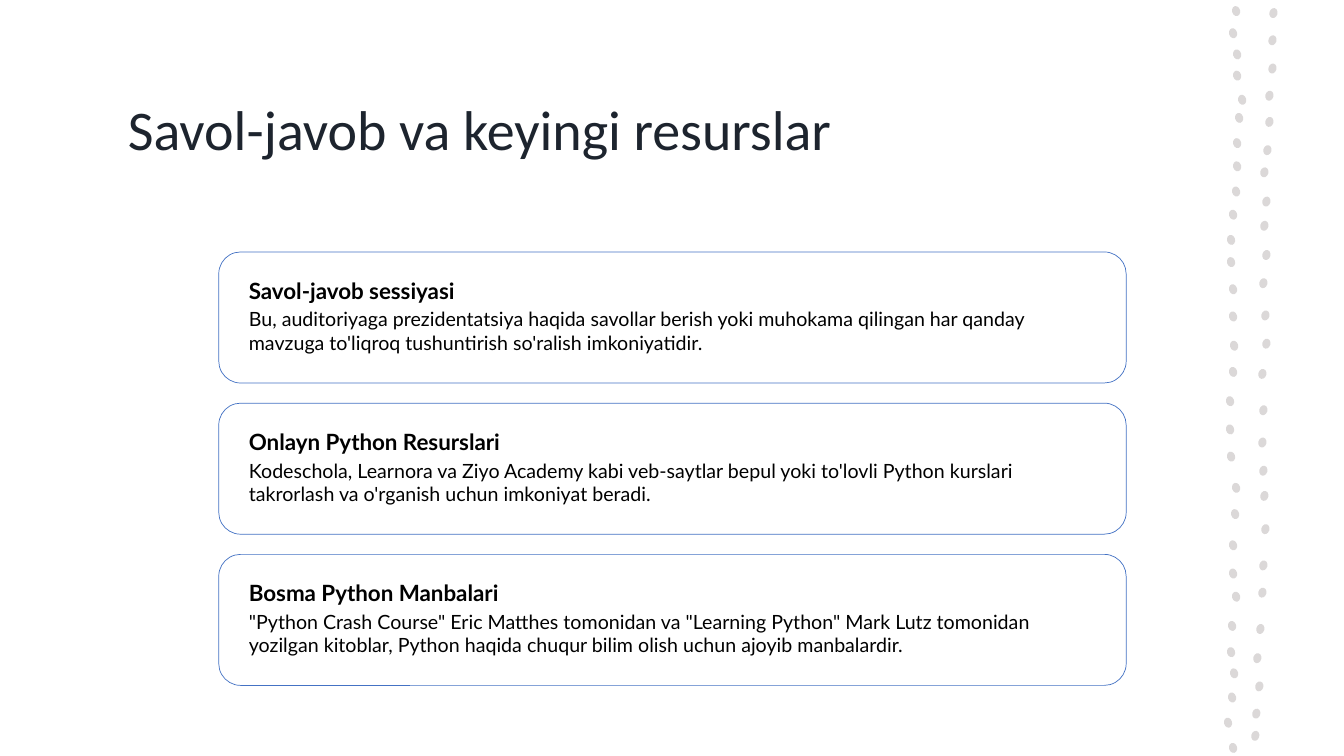
from pptx import Presentation
from pptx.dml.color import RGBColor
from pptx.enum import shapes, text
from pptx.util import Inches, Pt

TITLE = "Savol-javob va keyingi resurslar"
CARDS = [
    ("Savol-javob sessiyasi",
     "Bu, auditoriyaga prezidentatsiya haqida savollar berish yoki muhokama qilingan "
     "har qanday mavzuga to'liqroq tushuntirish so'ralish imkoniyatidir."),
    ("Onlayn Python Resurslari",
     "Kodeschola, Learnora va Ziyo Academy kabi veb-saytlar bepul yoki to'lovli Python "
     "kurslari takrorlash va o'rganish uchun imkoniyat beradi."),
    ("Bosma Python Manbalari",
     "\"Python Crash Course\" Eric Matthes tomonidan va \"Learning Python\" Mark Lutz "
     "tomonidan yozilgan kitoblar, Python haqida chuqur bilim olish uchun ajoyib "
     "manbalardir."),
]

# Centres of the dots in the two hand-drawn columns
LEFT_DOTS = [
    (12.26, 0.11), (12.23, 0.33), (12.27, 0.54), (12.27, 0.75), (12.32, 0.99),
    (12.29, 1.17), (12.27, 1.42), (12.27, 1.65), (12.26, 1.9), (12.23, 2.13),
    (12.21, 2.38), (12.21, 2.6), (12.23, 2.87), (12.23, 3.14), (12.24, 3.43),
    (12.23, 3.69), (12.2, 3.98), (12.2, 4.26), (12.21, 4.53), (12.26, 4.84),
    (12.25, 5.1), (12.23, 5.41), (12.23, 5.69), (12.26, 5.92), (12.22, 6.21),
    (12.21, 6.47), (12.24, 6.68), (12.22, 6.92), (12.18, 7.17), (12.23, 7.42),
]
RIGHT_DOTS = [
    (12.63, 0.13), (12.62, 0.4), (12.62, 0.68), (12.59, 0.95), (12.59, 1.21),
    (12.57, 1.49), (12.54, 1.71), (12.56, 2), (12.54, 2.24), (12.56, 2.53),
    (12.53, 2.81), (12.55, 3.13), (12.56, 3.41), (12.52, 3.71), (12.53, 4.07),
    (12.52, 4.39), (12.53, 4.67), (12.54, 4.92), (12.55, 5.25), (12.53, 5.61),
    (12.52, 5.88), (12.5, 6.24), (12.47, 6.53), (12.49, 6.81), (12.46, 7.08),
    (12.45, 7.3),
]
DOT_WIDTH, DOT_HEIGHT = 0.08, 0.1
CARD_LEFT, CARD_TOP, CARD_WIDTH, CARD_HEIGHT, CARD_STEP = 2.17, 2.5, 9, 1.3, 1.5
PADDING, HEADING_HEIGHT, BODY_HEIGHT = 0.2, 0.3, 0.8

presentation = Presentation()
presentation.slide_width, presentation.slide_height = Inches(13.33), Inches(7.5)
slide = presentation.slides.add_slide(presentation.slide_layouts[6])


def color(value):
    return RGBColor.from_string(value)


def add_shape(kind, left, top, width, height, fill=None, line=None):
    shape = slide.shapes.add_shape(kind, Inches(left), Inches(top),
                                   Inches(width), Inches(height))
    shape.shadow.inherit = False
    if fill:
        shape.fill.solid()
        shape.fill.fore_color.rgb = color(fill)
    else:
        shape.fill.background()
    if line:
        shape.line.color.rgb = color(line)
        shape.line.width = Pt(0.5)
    else:
        shape.line.fill.background()
    return shape


def add_text(words, left, top, width, height, size, font="Lato", fill="000000",
             bold=False, anchor=text.MSO_ANCHOR.TOP):
    box = slide.shapes.add_textbox(Inches(left), Inches(top),
                                   Inches(width), Inches(height))
    frame = box.text_frame
    frame.word_wrap = True
    frame.vertical_anchor = anchor
    paragraph = frame.paragraphs[0]
    paragraph.text = words
    paragraph.font.name = font
    paragraph.font.size = Pt(size)
    paragraph.font.bold = bold
    paragraph.font.color.rgb = color(fill)


# Dotted border
for x, y in LEFT_DOTS + RIGHT_DOTS:
    dot = add_shape(shapes.MSO_SHAPE.OVAL, x - DOT_WIDTH / 2, y - DOT_HEIGHT / 2,
                    DOT_WIDTH, DOT_HEIGHT, fill="DBD8D8")
    dot.rotation = 15 if (x, y) in RIGHT_DOTS else -15

# Title
add_text(TITLE, 1.17, 0.55, 10.54, 1.45, size=40, font="Calibri", fill="1D242E",
         anchor=text.MSO_ANCHOR.MIDDLE)

# Cards
for row, (heading, body) in enumerate(CARDS):
    top = CARD_TOP + row * CARD_STEP
    add_shape(shapes.MSO_SHAPE.ROUNDED_RECTANGLE, CARD_LEFT, top,
              CARD_WIDTH, CARD_HEIGHT, line="4472C4")
    text_left, text_width = CARD_LEFT + PADDING, CARD_WIDTH - 2 * PADDING
    add_text(heading, text_left, top + PADDING, text_width, HEADING_HEIGHT,
             size=16, bold=True)
    add_text(body, text_left, top + PADDING + HEADING_HEIGHT, text_width,
             BODY_HEIGHT, size=14)

presentation.save("out.pptx")
